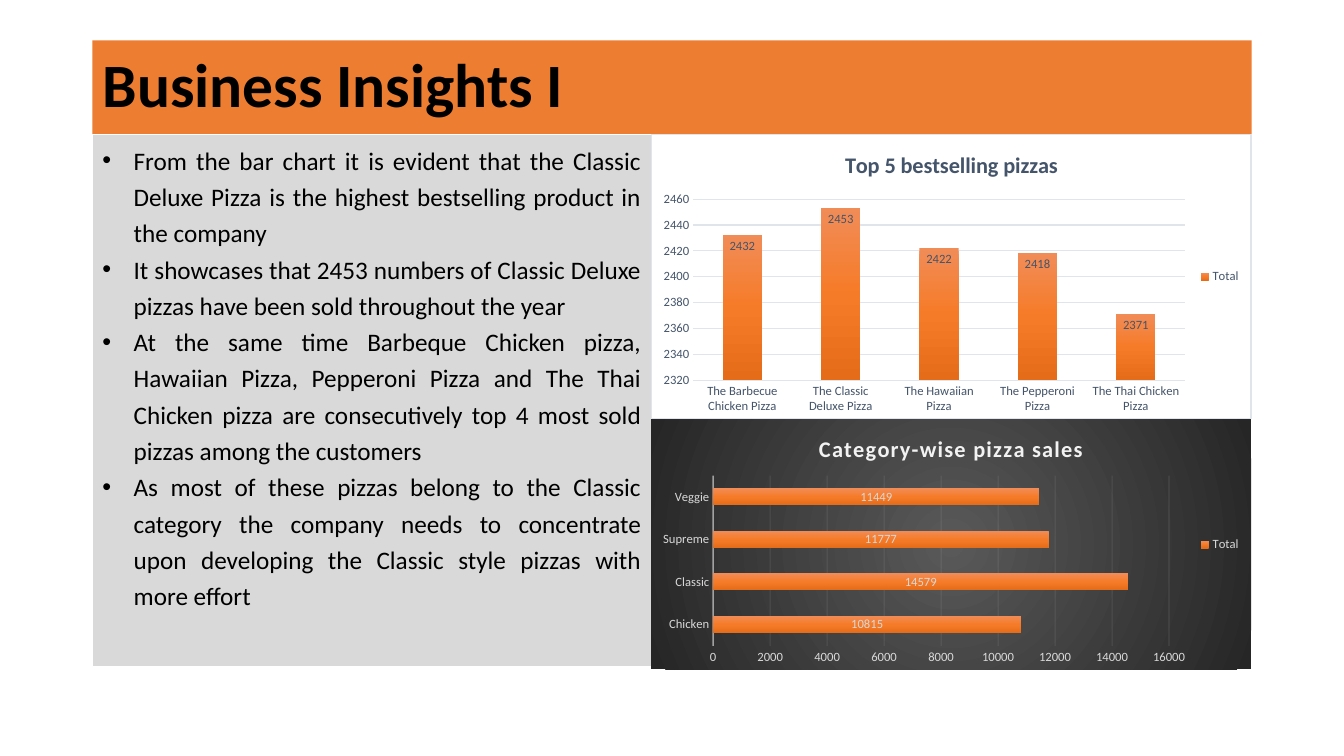
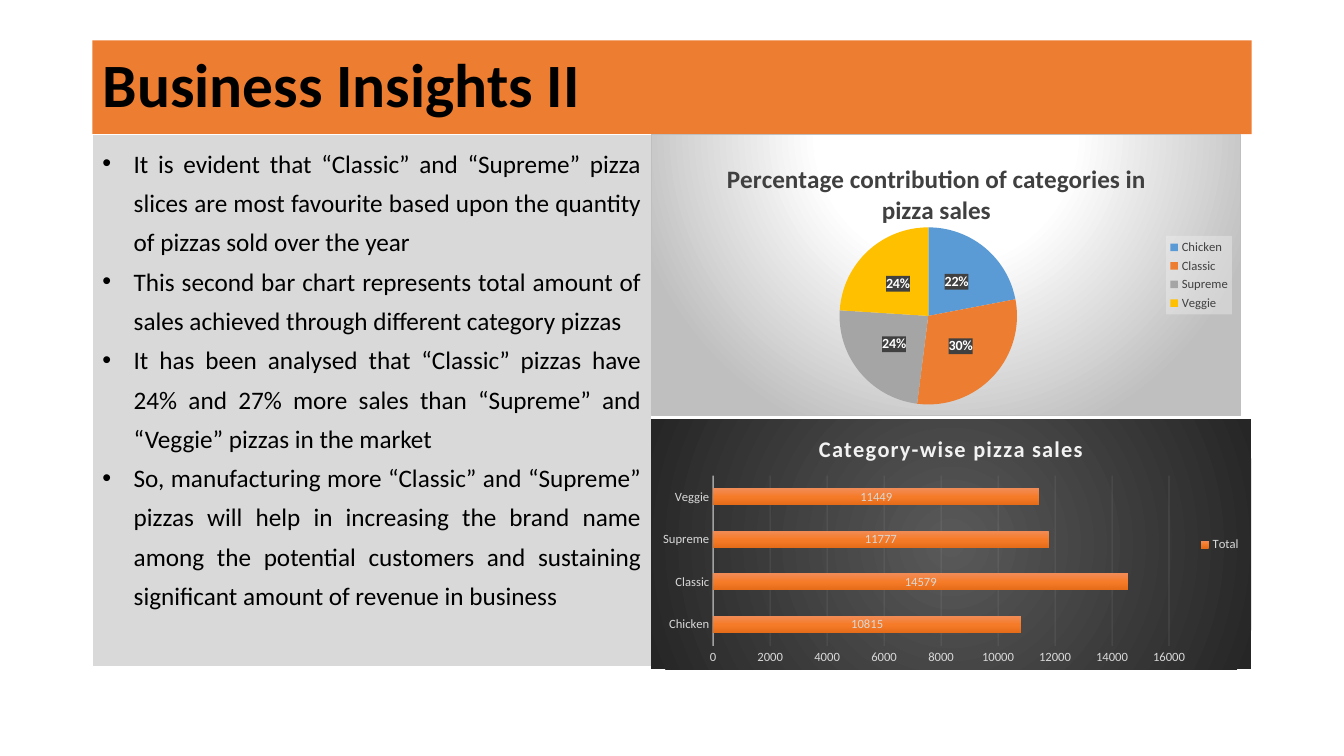
import pptx
import pptx.chart.data
import pptx.dml.color
import pptx.enum.chart
import pptx.enum.shapes
import pptx.enum.text
import pptx.oxml
import pptx.oxml.ns
import pptx.util

Cm = pptx.util.Cm
Pt = pptx.util.Pt
XL = pptx.enum.chart

FONT = "Calibri"
COLORS = {
    "band": "ED7D31",
    "panel": "D9D9D9",
    "white": "FFFFFF",
    "text": "000000",
    "slate": "44546A",
    "slate_line": "E0E5EB",
    "light": "D9D9D9",
    "pale": "F2F2F2",
    "charcoal": "404040",
    "frame": "BFBFBF",
}
SLICES = ["5B9BD5", "ED7D31", "A5A5A5", "FFC000"]
BAR_STOPS = [(0, "F18C57"), (50, "F67B28"), (100, "E56C19")]
DARK_STOPS = [(0, "595959"), (100, "262626")]
PALE_STOPS = [(0, "FFFFFF"), (39, "FFFFFF"), (100, "BFBFBF")]
DOWN = '<a:lin ang="5400000" scaled="0"/>'

TITLE_BOX = (Cm(2.33), Cm(1.02), Cm(29.21), Cm(2.36))
PANEL_BOX = (Cm(2.33), Cm(3.38), Cm(14.08), Cm(13.41))
TOP_BOX = (Cm(16.41), Cm(3.38), Cm(15.13), Cm(7.19))
PIE_BOX = (Cm(16.41), Cm(3.38), Cm(14.86), Cm(7.11))
BOTTOM_BOX = (Cm(16.41), Cm(10.57), Cm(15.12), Cm(6.3))

CATEGORIES = ["Chicken", "Classic", "Supreme", "Veggie"]


def rgb(name):
    return pptx.dml.color.RGBColor.from_string(COLORS.get(name, name))


def xml(text):
    tag_end = min(i for i in (text.find(" "), text.find(">"), text.find("/>")) if i > 0)
    ns = pptx.oxml.ns.nsdecls("a", "c")
    return pptx.oxml.parse_xml(f"{text[:tag_end]} {ns}{text[tag_end:]}")


def solid(name, alpha=100):
    return (f'<a:solidFill><a:srgbClr val="{COLORS[name]}">'
            f'<a:alpha val="{alpha * 1000}"/></a:srgbClr></a:solidFill>')


def gradient(stops, direction):
    gs = "".join(f'<a:gs pos="{pos * 1000}"><a:srgbClr val="{color}"/></a:gs>'
                 for pos, color in stops)
    return f"<a:gradFill><a:gsLst>{gs}</a:gsLst>{direction}</a:gradFill>"


def radial(left, top, right, bottom):
    l, t, r, b = (v * 1000 for v in (left, top, right, bottom))
    return (f'<a:path path="circle"><a:fillToRect l="{l}" t="{t}" '
            f'r="{r}" b="{b}"/></a:path>')


def set_font(font, size, color, bold=False):
    font.name = FONT
    font.size = Pt(size)
    font.bold = bold
    font.color.rgb = rgb(color)


def set_line(line, color, width):
    line.color.rgb = rgb(color)
    line.width = Pt(width)


def add_title(slide, box, text):
    sp = slide.shapes.title
    sp.left, sp.top, sp.width, sp.height = box
    sp.fill.solid()
    sp.fill.fore_color.rgb = rgb("band")
    tf = sp.text_frame
    tf.auto_size = pptx.enum.text.MSO_AUTO_SIZE.NONE
    tf.vertical_anchor = pptx.enum.text.MSO_ANCHOR.MIDDLE
    p = tf.paragraphs[0]
    p.alignment = pptx.enum.text.PP_ALIGN.LEFT
    p.line_spacing = 0.9
    r = p.add_run()
    r.text = text
    set_font(r.font, 44, "text", True)


def add_bullets(slide, box, items, spacing):
    sp = slide.shapes.add_shape(pptx.enum.shapes.MSO_SHAPE.RECTANGLE, *box)
    sp.shadow.inherit = False
    sp.fill.solid()
    sp.fill.fore_color.rgb = rgb("panel")
    set_line(sp.line, "white", 0.75)
    tf = sp.text_frame
    tf.word_wrap = True
    tf.vertical_anchor = pptx.enum.text.MSO_ANCHOR.TOP
    for i, item in enumerate(items):
        p = tf.add_paragraph() if i else tf.paragraphs[0]
        p.alignment = pptx.enum.text.PP_ALIGN.JUSTIFY
        p.line_spacing = spacing
        pPr = p._p.get_or_add_pPr()
        pPr.set("marL", str(Cm(0.79)))
        pPr.set("indent", str(-Cm(0.79)))
        pPr.append(xml('<a:buFont typeface="Arial"/>'))
        pPr.append(xml('<a:buChar char="•"/>'))
        r = p.add_run()
        r.text = item
        set_font(r.font, 18, "text")


def add_chart(slide, box, kind, name, cats, vals, title, title_size,
              title_color, text_color, fill, border=None):
    data = pptx.chart.data.CategoryChartData()
    data.categories = cats
    data.add_series(name, vals)
    chart = slide.shapes.add_chart(kind, *box, data).chart
    set_font(chart.font, 10, "text")
    chart.has_title = True
    p = chart.chart_title.text_frame.paragraphs[0]
    r = p.add_run()
    r.text = title
    set_font(r.font, title_size, title_color, True)
    chart.has_legend = True
    chart.legend.position = XL.XL_LEGEND_POSITION.RIGHT
    chart.legend.include_in_layout = False
    set_font(chart.legend.font, 9, text_color)
    outline = f'<a:ln w="9525">{solid(border)}</a:ln>' if border else "<a:ln><a:noFill/></a:ln>"
    chart.element.xpath("c:chart")[0].addnext(xml(f"<c:spPr>{fill}{outline}</c:spPr>"))
    return chart


def style_bars(chart, scale, text_color, grid_color, label_position):
    plot = chart.plots[0]
    plot.gap_width = 150
    plot.overlap = 100
    plot.vary_by_categories = False
    plot.has_data_labels = True
    labels = plot.data_labels
    labels.show_value = True
    labels.position = label_position
    set_font(labels.font, 9, text_color)
    plot.series[0].format.line.fill.background()
    chart.element.xpath(".//c:ser/c:spPr")[0].insert(0, xml(gradient(BAR_STOPS, DOWN)))
    cat, val = chart.category_axis, chart.value_axis
    for axis in (cat, val):
        axis.major_tick_mark = axis.minor_tick_mark = XL.XL_TICK_MARK.NONE
        set_font(axis.tick_labels.font, 9, text_color)
    cat.has_major_gridlines = False
    set_line(cat.format.line, grid_color, 0.75)
    val.minimum_scale, val.maximum_scale, val.major_unit = scale
    val.format.line.fill.background()
    val.has_major_gridlines = True
    set_line(val.major_gridlines.format.line, grid_color, 0.75)


def add_bestsellers(slide, box):
    cats = ["The Barbecue Chicken Pizza", "The Classic Deluxe Pizza",
            "The Hawaiian Pizza", "The Pepperoni Pizza", "The Thai Chicken Pizza"]
    chart = add_chart(slide, box, XL.XL_CHART_TYPE.COLUMN_STACKED, "Total", cats,
                      [2432, 2453, 2422, 2418, 2371], "Top 5 bestselling pizzas",
                      16, "slate", "slate", solid("white"), "slate_line")
    style_bars(chart, (2320, 2460, 20), "slate", "slate_line",
               XL.XL_LABEL_POSITION.INSIDE_END)


def add_category_sales(slide, box):
    chart = add_chart(slide, box, XL.XL_CHART_TYPE.BAR_STACKED, "Total", CATEGORIES,
                      [10815, 14579, 11777, 11449], "Category-wise pizza sales",
                      16, "pale", "light", gradient(DARK_STOPS, radial(50, 50, 50, 50)))
    style_bars(chart, (0, 16000, 2000), "light", "pale", XL.XL_LABEL_POSITION.CENTER)
    chart.category_axis.format.line.width = Pt(1)
    chart.element.xpath(".//c:title//a:r/a:rPr")[0].set("spc", "100")
    for target, alpha in (("c:catAx/c:spPr", 54), ("c:majorGridlines", 10)):
        for clr in chart.element.xpath(f".//{target}//a:srgbClr"):
            clr.append(xml(f'<a:alpha val="{alpha * 1000}"/>'))


def set_layout(parent, index, **places):
    for old in parent.xpath("c:layout"):
        parent.remove(old)
    target = '<c:layoutTarget val="inner"/>' if "w" in places else ""
    modes = "".join(f'<c:{k}Mode val="edge"/>' for k in "xy")
    sizes = "".join(f'<c:{k} val="{v}"/>' for k, v in places.items())
    parent.insert(index, xml(f"<c:layout><c:manualLayout>{target}{modes}{sizes}"
                             "</c:manualLayout></c:layout>"))


def add_contribution(slide, box):
    chart = add_chart(slide, box, XL.XL_CHART_TYPE.PIE, "Series 1", CATEGORIES,
                      [22, 30, 24, 24],
                      "Percentage contribution of categories in pizza sales",
                      18, "charcoal", "charcoal",
                      gradient(PALE_STOPS, radial(50, -80, 50, 180)), "frame")
    plot = chart.plots[0]
    plot.vary_by_categories = True
    for i, color in enumerate(SLICES):
        fill = plot.series[0].points[i].format.fill
        fill.solid()
        fill.fore_color.rgb = rgb(color)
    plot.has_data_labels = True
    labels = plot.data_labels
    labels.show_value = False
    labels.show_percentage = True
    labels.number_format = "0%"
    labels.number_format_is_linked = False
    labels.position = XL.XL_LABEL_POSITION.CENTER
    set_font(labels.font, 10, "white", True)
    for target, fill in (("c:dLbls", solid("charcoal")), ("c:legend", solid("pale", 39))):
        txPr = chart.element.xpath(f".//{target}/c:txPr")[0]
        txPr.addprevious(xml(f"<c:spPr>{fill}</c:spPr>"))
    set_layout(chart.element.xpath(".//c:title")[0], 1, x=0.12, y=0.08)
    set_layout(chart.element.xpath(".//c:plotArea")[0], 0, x=0.28, y=0.33, w=0.38, h=0.63)


def add_insights(prs, title, items, spacing, add_top_chart, top_box):
    slide = prs.slides.add_slide(prs.slide_layouts[5])
    add_title(slide, TITLE_BOX, title)
    add_bullets(slide, PANEL_BOX, items, spacing)
    add_top_chart(slide, top_box)
    add_category_sales(slide, BOTTOM_BOX)


def main():
    prs = pptx.Presentation()
    prs.slide_width, prs.slide_height = Cm(33.87), Cm(19.05)
    add_insights(prs, "Business Insights I", [
        "From the bar chart it is evident that the Classic Deluxe Pizza is the highest "
        "bestselling product in the company",
        "It showcases that 2453 numbers of Classic Deluxe pizzas have been sold "
        "throughout the year",
        "At the same time Barbeque Chicken pizza, Hawaiian Pizza, Pepperoni Pizza and "
        "The Thai Chicken pizza are consecutively top 4 most sold pizzas among the customers",
        "As most of these pizzas belong to the Classic category the company needs to "
        "concentrate upon developing the Classic style pizzas with more effort",
    ], 1.2, add_bestsellers, TOP_BOX)
    add_insights(prs, "Business Insights II", [
        "It is evident that “Classic” and “Supreme” pizza slices are most favourite "
        "based upon the quantity of pizzas sold over the year",
        "This second bar chart represents total amount of sales achieved through "
        "different category pizzas",
        "It has been analysed that “Classic” pizzas have 24% and 27% more sales than "
        "“Supreme” and “Veggie” pizzas in the market",
        "So, manufacturing more “Classic” and “Supreme” pizzas will help in increasing "
        "the brand name among the potential customers and sustaining significant amount "
        "of revenue in business",
    ], 1.3, add_contribution, PIE_BOX)
    prs.save("out.pptx")


if __name__ == "__main__":
    main()
